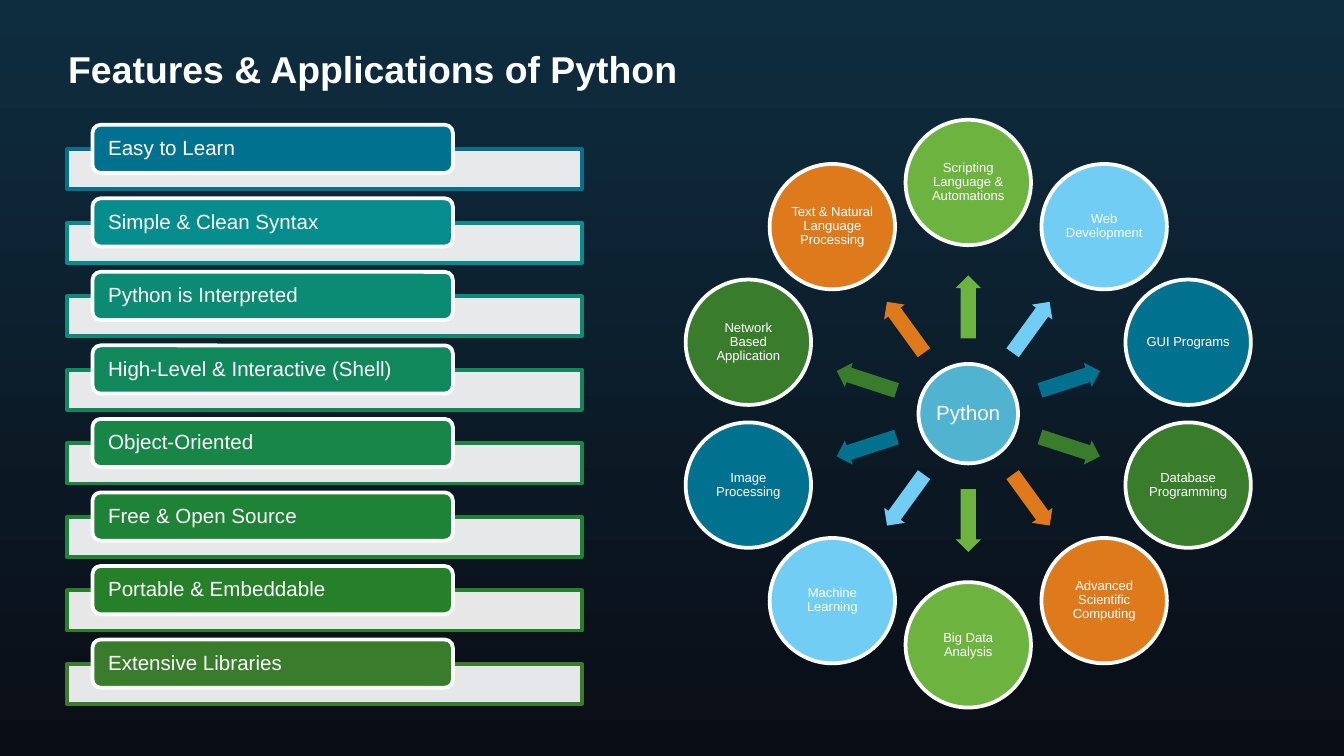
from math import cos, radians, sin

from lxml.etree import SubElement
from pptx import Presentation
from pptx.dml.color import RGBColor
from pptx.enum.shapes import MSO_SHAPE as Kind
from pptx.enum.text import MSO_ANCHOR as Anchor, PP_ALIGN as Align
from pptx.oxml.ns import qn
from pptx.util import Cm, Pt

WHITE = RGBColor(0xFF, 0xFF, 0xFF)
NIGHT_TOP = RGBColor(0x0E, 0x2D, 0x3F)
NIGHT_BOTTOM = RGBColor(0x0A, 0x0D, 0x16)
HUB_BLUE = RGBColor(0x50, 0xB3, 0xCF)
LIME = RGBColor(0x6D, 0xB3, 0x3F)
SKY = RGBColor(0x72, 0xCD, 0xF4)
TEAL = RGBColor(0x00, 0x72, 0x8F)
GREEN = RGBColor(0x38, 0x7C, 0x2C)
ORANGE = RGBColor(0xDF, 0x7A, 0x1C)

FEATURES = [
    ("Easy to Learn", TEAL),
    ("Simple & Clean Syntax", RGBColor(0x05, 0x8C, 0x8D)),
    ("Python is Interpreted", RGBColor(0x0B, 0x8B, 0x73)),
    ("High-Level & Interactive (Shell)", RGBColor(0x11, 0x88, 0x5C)),
    ("Object-Oriented", RGBColor(0x18, 0x86, 0x47)),
    ("Free & Open Source", RGBColor(0x1E, 0x83, 0x36)),
    ("Portable & Embeddable", RGBColor(0x25, 0x80, 0x29)),
    ("Extensive Libraries", GREEN),
]
APPLICATIONS = [
    "Scripting Language & Automations", "Web Development", "GUI Programs",
    "Database Programming", "Advanced Scientific Computing",
    "Big Data Analysis", "Machine Learning", "Image Processing",
    "Network Based Application", "Text & Natural Language Processing",
]
RING_COLOURS = [LIME, SKY, TEAL, GREEN, ORANGE]

TITLE_FONT = {"name": "Arial", "size": Pt(20), "bold": True}
LARGE_FONT = {"name": "Arial", "size": Pt(11)}
SMALL_FONT = {"name": "Arial", "size": Pt(7)}
TAB_FRAME = {"margin_left": Cm(0.25), "margin_right": Cm(0.25),
             "margin_top": 0, "margin_bottom": 0}
CIRCLE_FRAME = dict.fromkeys(
    ["margin_left", "margin_right", "margin_top", "margin_bottom"], Cm(0.03))


def add_shape(kind, left, top, width, height, fill, line=None):
    shape = page.shapes.add_shape(kind, Cm(left), Cm(top), Cm(width), Cm(height))
    shape.shadow.inherit = False
    shape.fill.solid()
    shape.fill.fore_color.rgb = fill
    if line is None:
        shape.line.fill.background()
    else:
        shape.line.color.rgb = line
        shape.line.width = Pt(2)
    return shape


def write(box, text, font, frame, align, spacing=0.9):
    body = box.text_frame
    para = body.paragraphs[0]
    span = para.add_run()
    span.text = text
    span.font.color.rgb = WHITE
    for target, values in [
        (body, {"word_wrap": True, "vertical_anchor": Anchor.MIDDLE, **frame}),
        (para, {"alignment": align, "line_spacing": spacing}),
        (span.font, font),
    ]:
        for name, value in values.items():
            setattr(target, name, value)


deck = Presentation()
deck.slide_width, deck.slide_height = Cm(25.4), Cm(14.29)
page = deck.slides.add_slide(deck.slide_layouts[6])

backdrop = page.background.fill
backdrop.gradient()
backdrop.gradient_angle = 270
for stop, colour, position in zip(
        backdrop.gradient_stops, [NIGHT_TOP, NIGHT_BOTTOM], [0, 1]):
    stop.color.rgb = colour
    stop.position = position

title = page.shapes.add_textbox(Cm(1.04), Cm(0.66), Cm(23.32), Cm(1.27))
write(title, "Features & Applications of Python", TITLE_FONT, {}, Align.LEFT, 1.0)

for row, (feature, colour) in enumerate(FEATURES):
    top = 2.36 + row * 1.39
    bar = add_shape(Kind.RECTANGLE, 1.27, top + 0.46, 9.73, 0.76, WHITE, colour)
    bar_colour = bar.fill._xPr.find(qn("a:solidFill"))[0]
    SubElement(bar_colour, qn("a:alpha"), val="90000")
    tab = add_shape(Kind.ROUNDED_RECTANGLE, 1.75, top, 6.81, 0.91, colour, WHITE)
    write(tab, feature, LARGE_FONT, TAB_FRAME, Align.LEFT)

CENTRE_X, CENTRE_Y = 18.3, 7.82
HUB, CIRCLE = 1.88, 2.37
ARROW_LENGTH, ARROW_WIDTH = 1.19, 0.48
RING_RADIUS, ARROW_RADIUS = 4.37, 2.02

hub = add_shape(Kind.OVAL, CENTRE_X - HUB / 2, CENTRE_Y - HUB / 2, HUB, HUB,
                HUB_BLUE, WHITE)
write(hub, "Python", LARGE_FONT, CIRCLE_FRAME, Align.CENTER)

for index, application in enumerate(APPLICATIONS):
    angle = index * 360 / len(APPLICATIONS) - 90
    across, down = cos(radians(angle)), sin(radians(angle))
    colour = RING_COLOURS[index % len(RING_COLOURS)]
    arrow = add_shape(Kind.RIGHT_ARROW,
                      CENTRE_X + ARROW_RADIUS * across - ARROW_LENGTH / 2,
                      CENTRE_Y + ARROW_RADIUS * down - ARROW_WIDTH / 2,
                      ARROW_LENGTH, ARROW_WIDTH, colour)
    arrow.adjustments[0] = 0.6
    arrow.rotation = angle % 360
    circle = add_shape(Kind.OVAL,
                       CENTRE_X + RING_RADIUS * across - CIRCLE / 2,
                       CENTRE_Y + RING_RADIUS * down - CIRCLE / 2,
                       CIRCLE, CIRCLE, colour, WHITE)
    write(circle, application, SMALL_FONT, CIRCLE_FRAME, Align.CENTER)

deck.save("out.pptx")
